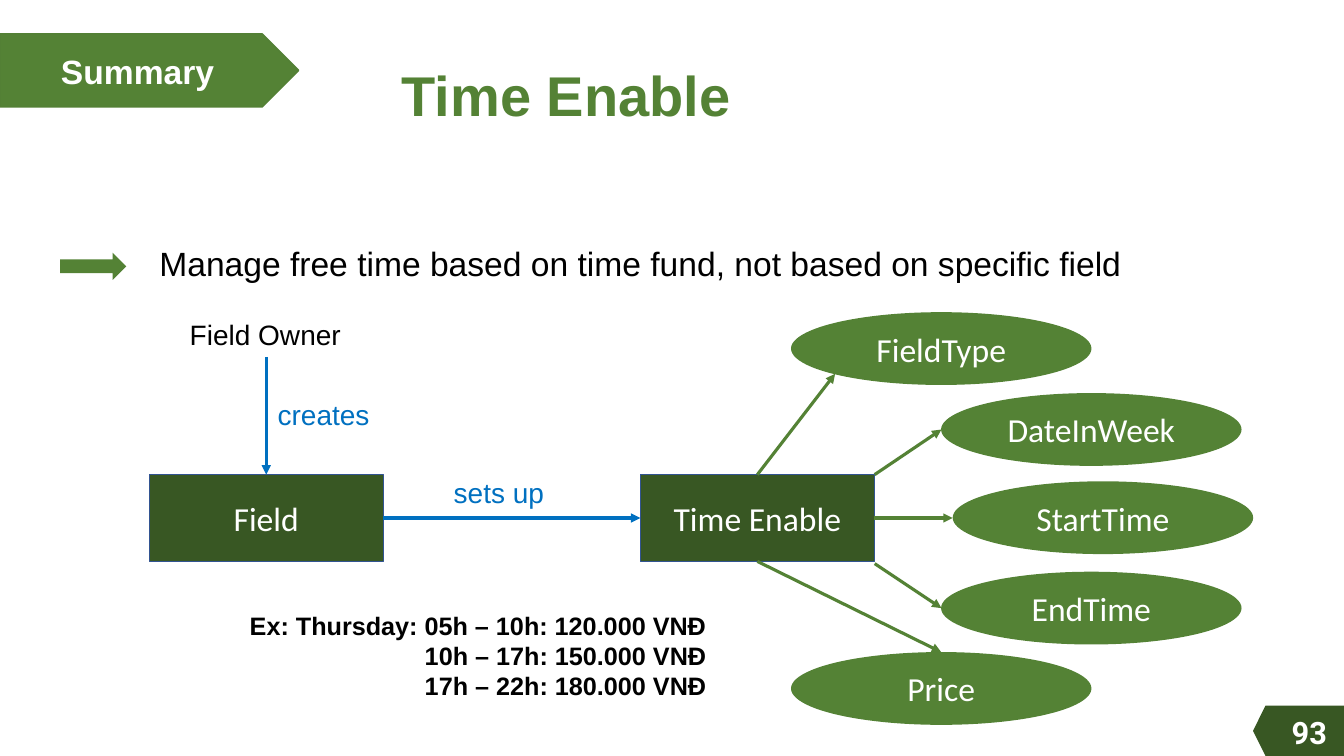
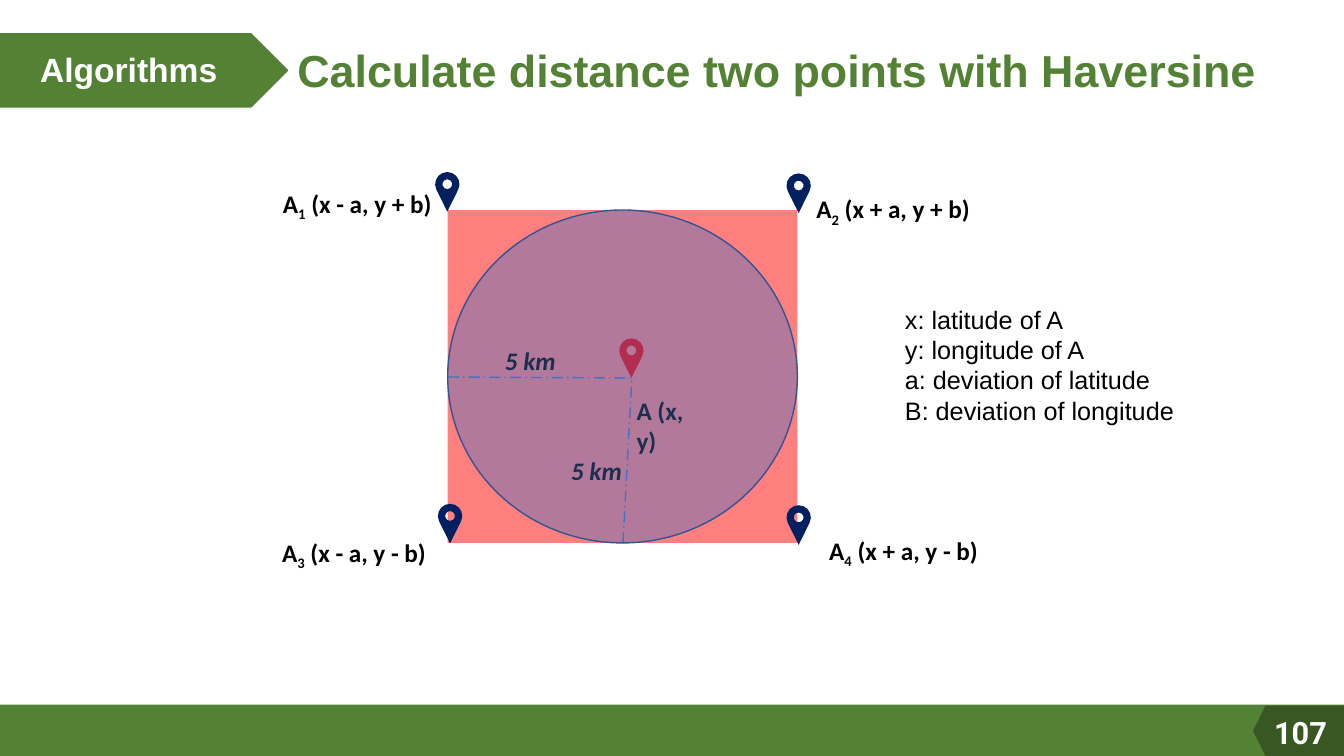
"""Build two slides: the Time Enable model and the Haversine distance search area."""
from math import acos, cos, pi, sin

from lxml.etree import SubElement
from pptx import Presentation
from pptx.dml.color import RGBColor
from pptx.enum.dml import MSO_LINE
from pptx.enum.shapes import MSO_CONNECTOR, MSO_SHAPE, MSO_SHAPE_TYPE
from pptx.enum.text import MSO_ANCHOR, MSO_AUTO_SIZE, PP_ALIGN
from pptx.oxml.ns import qn
from pptx.util import Pt

rgb = RGBColor.from_string
GREEN, DARK_GREEN, PLATE_EDGE = "548235", "385723", "538035"
BLUE, NAVY, BOX_EDGE, ACCENT = "0070C0", "002060", "325491", "4472C4"
RED, BLACK, WHITE = "FF0000", "000000", "FFFFFF"
LEFT, CENTER, RIGHT = PP_ALIGN.LEFT, PP_ALIGN.CENTER, PP_ALIGN.RIGHT


def paint(shape, fill, edge=None, opacity=None):
    shape.shadow.inherit = False
    shape.fill.solid()
    shape.fill.fore_color.rgb = rgb(fill)
    if opacity:
        color = shape._element.spPr.find(qn("a:solidFill")).find(qn("a:srgbClr"))
        SubElement(color, qn("a:alpha"), val=str(opacity * 1000))
    if edge:
        shape.line.color.rgb = rgb(edge)
        shape.line.width = Pt(1)
    else:
        shape.line.fill.background()


def write(shape, text, size, color, font="Arial", bold=False, italic=False,
          align=LEFT, anchor=MSO_ANCHOR.MIDDLE, spacing=1.0):
    frame = shape.text_frame
    frame.text = text
    frame.word_wrap = True
    frame.auto_size = MSO_AUTO_SIZE.NONE
    frame.vertical_anchor = anchor
    for para in frame.paragraphs:
        if shape.is_placeholder:
            properties = para._p.get_or_add_pPr()
            properties.set("marL", "0")
            properties.set("indent", "0")
            SubElement(properties, qn("a:buNone"))
        para.alignment = align
        para.line_spacing = spacing
        para.space_before = Pt(0)
        para.font.name = font
        para.font.size = Pt(size)
        para.font.color.rgb = rgb(color)
        para.font.bold = bold
        para.font.italic = italic
    return frame


deck = Presentation()
deck.slide_width, deck.slide_height = Pt(960), Pt(540)

outlines = [
    ("Summary", 213.4, 43.6, 7.6, "Time Enable", (279.8, 36.7, 523, 67), 40,
     "Manage free time based on time fund, not based on specific field",
     (106.6, 163.6, 732, 51.8), 24, 0.9, "93", False),
    ("Algorithms", 205.4, 28.6, 4.8, "Calculate distance two points with Haversine",
     (205.2, 26.8, 720, 46), 32,
     "x: latitude of A\ny: longitude of A\na: deviation of latitude\nB: deviation of longitude",
     (639.2, 213.4, 225, 94.3), 18, 1.0, "107", True),
]
for (section, plate_width, inset, drop, title, title_place, title_size,
     body, body_place, body_size, spacing, number, banded) in outlines:
    page = deck.slides.add_slide(deck.slide_layouts[1])
    for holder, place in zip(page.placeholders, (title_place, body_place)):
        holder.left, holder.top, holder.width, holder.height = map(Pt, place)
    write(page.shapes.title, title, title_size, GREEN, bold=True, spacing=spacing)
    write(page.placeholders[1], body, body_size, BLACK, spacing=spacing)

    plate = page.shapes.add_shape(MSO_SHAPE.PENTAGON, 0, Pt(24.2), Pt(plate_width), Pt(52.2))
    paint(plate, GREEN, PLATE_EDGE)
    frame = write(plate, section, 24, WHITE, bold=True, spacing=0.9)
    frame.margin_left, frame.margin_right, frame.margin_top = Pt(inset), 0, Pt(drop)

    if banded:
        band = page.shapes.add_shape(MSO_SHAPE.RECTANGLE, 0, Pt(503.3), Pt(960), Pt(36.7))
        paint(band, GREEN)
    outline = page.shapes.build_freeform(895, 522, scale=Pt(1))
    outline.add_line_segments([(904, 504), (960, 504), (960, 540), (904, 540)])
    badge = outline.convert_to_shape()
    paint(badge, DARK_GREEN)
    frame = write(badge, number, 22, WHITE, "Roboto", bold=True, align=RIGHT)
    frame.margin_left, frame.margin_right, frame.margin_top = 0, Pt(12.2), Pt(5)

model, area = deck.slides

arrow = model.shapes.add_shape(MSO_SHAPE.RIGHT_ARROW, Pt(43), Pt(180.5), Pt(47.2), Pt(19.5))
paint(arrow, GREEN)

entities = []
for name, left in [("Field", 106.6), ("Time Enable", 457.4)]:
    entity = model.shapes.add_shape(MSO_SHAPE.RECTANGLE, Pt(left), Pt(339), Pt(167.2), Pt(62))
    paint(entity, DARK_GREEN, BOX_EDGE)
    write(entity, name, 24, WHITE, "Calibri", align=CENTER)
    entities.append(entity)
field, time_enable = entities

for name, left, top in [("FieldType", 565, 223), ("DateInWeek", 672.2, 280.8),
                        ("StartTime", 680.5, 343.8), ("EndTime", 672.2, 408.4),
                        ("Price", 565, 465.8)]:
    attribute = model.shapes.add_shape(MSO_SHAPE.OVAL, Pt(left), Pt(top), Pt(214.6), Pt(52))
    paint(attribute, GREEN)
    write(attribute, name, 24, WHITE, "Calibri", align=CENTER)

for start, end, color, source, target in [
        ((190.2, 255), (190.2, 339), BLUE, None, (field, 0)),
        ((273.8, 370), (457.4, 370), BLUE, (field, 3), (time_enable, 1)),
        ((541, 339), (596.5, 267), GREEN, (time_enable, 0), None),
        ((624.8, 339), (672.5, 306.8), GREEN, None, None),
        ((624.6, 370), (680.5, 370), GREEN, (time_enable, 3), None),
        ((624.8, 402.6), (672.5, 434.4), GREEN, None, None),
        ((541, 401), (672.3, 465.8), GREEN, (time_enable, 2), None)]:
    link = model.shapes.add_connector(MSO_CONNECTOR.STRAIGHT, *map(Pt, start + end))
    if source:
        link.begin_connect(*source)
    if target:
        link.end_connect(*target)
    link.line.color.rgb = rgb(color)
    link.line.width = Pt(2.25)
    SubElement(link.line._get_or_add_ln(), qn("a:tailEnd"), type="triangle")

for text, left, top, color in [("Field Owner", 128.4, 222.8, BLACK),
                               ("creates", 191.2, 280.4, BLUE),
                               ("sets up", 317, 335.8, BLUE)]:
    box = model.shapes.add_textbox(Pt(left), Pt(top), Pt(135), Pt(31.5))
    write(box, text, 20, color)

prices = "Ex: Thursday: 05h – 10h: 120.000 VNĐ\n10h – 17h: 150.000 VNĐ\n17h – 22h: 180.000 VNĐ"
box = model.shapes.add_textbox(Pt(170), Pt(431.8), Pt(341.6), Pt(72.7))
write(box, prices, 18, BLACK, bold=True, align=RIGHT)

zone = tuple(map(Pt, (319.8, 150, 249.8, 237.8)))
square = area.shapes.add_shape(MSO_SHAPE.RECTANGLE, *zone)
paint(square, RED, opacity=50)

head_radius, head_height, hole_radius, steps = 8.7, 19.6, 3.5, 10
tangent = acos(head_radius / head_height)
head = []
hole = []
for step in range(steps + 1):
    angle = tangent + step * (2 * pi - 2 * tangent) / steps
    head.append((100 * head_radius * sin(angle),
                 100 * (head_radius * cos(angle) - head_height)))
    turn = 2 * pi * step / steps
    hole.append((100 * hole_radius * sin(turn),
                 100 * (hole_radius * cos(turn) - head_height)))
for x, y, color in [(451, 270, RED), (319.5, 151.2, NAVY), (570.5, 152.2, NAVY),
                    (321.5, 388.2, NAVY), (570.5, 389.2, NAVY)]:
    outline = area.shapes.build_freeform(0, 0, scale=Pt(1) / 100)
    outline.add_line_segments(head)
    outline.move_to(*hole[0])
    outline.add_line_segments(hole[1:-1])
    pin = outline.convert_to_shape(Pt(x), Pt(y))
    paint(pin, color)

for number, offset, left, top in [("1", "(x - a, y + b)", 195, 132.4),
                                  ("2", "(x + a, y + b)", 576, 136),
                                  ("3", "(x - a, y - b)", 194.4, 381.6),
                                  ("4", "(x + a, y - b)", 585.2, 380.1)]:
    box = area.shapes.add_textbox(Pt(left), Pt(top), Pt(134), Pt(29))
    para = write(box, "A", 18, BLACK, "Calibri", bold=True).paragraphs[0]
    span = para.add_run()
    span.text = number
    span.font._element.set("baseline", "-25000")
    para.add_run().text = " " + offset

for start, end in [((319.8, 269.3), (454, 270)), ((445, 388), (451.4, 269.3))]:
    radius = area.shapes.add_connector(MSO_CONNECTOR.STRAIGHT, *map(Pt, start + end))
    radius.line.color.rgb = rgb(ACCENT)
    radius.line.width = Pt(1)
    radius.line.dash_style = MSO_LINE.LONG_DASH_DOT

for text, left, top, italic in [("A (x, y)", 447.6, 278.6, False),
                                ("5 km", 353.5, 243.4, True),
                                ("5 km", 400.8, 321.8, True)]:
    box = area.shapes.add_textbox(Pt(left), Pt(top), Pt(63), Pt(51))
    write(box, text, 18, BLACK, "Calibri", bold=True, italic=italic, anchor=MSO_ANCHOR.TOP)

circle = area.shapes.add_shape(MSO_SHAPE.FLOWCHART_CONNECTOR, *zone)
paint(circle, ACCENT, BOX_EDGE, opacity=41)

for page in deck.slides:
    for shape in page.shapes:
        if shape.shape_type == MSO_SHAPE_TYPE.LINE:
            SubElement(shape._element.spPr, qn("a:effectLst"))

deck.save("out.pptx")
